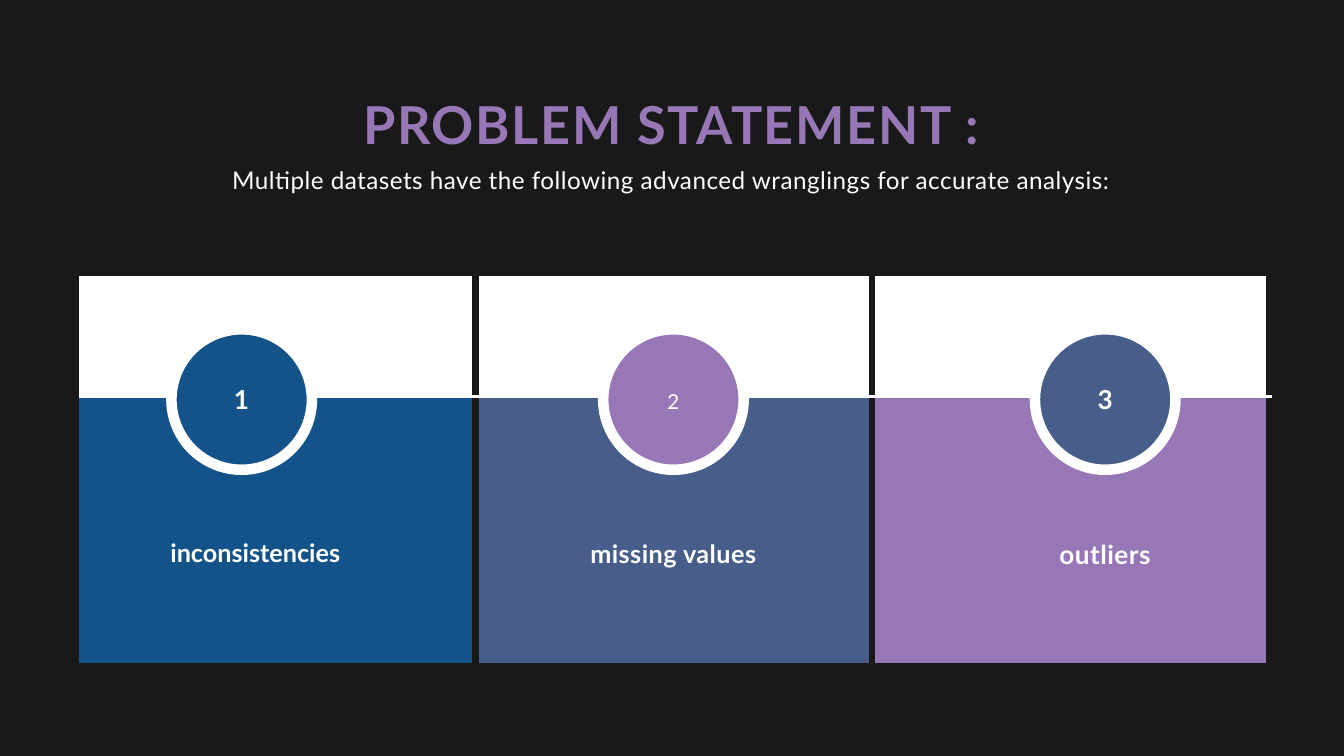
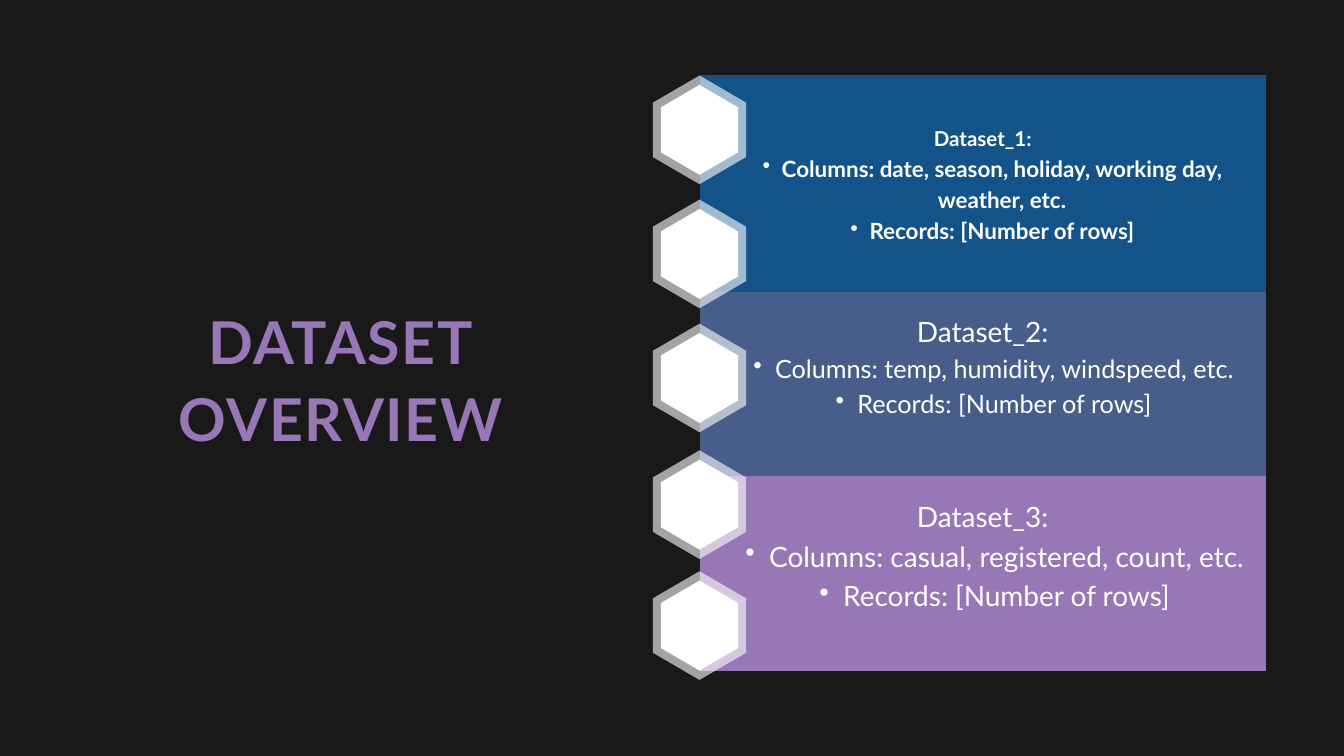
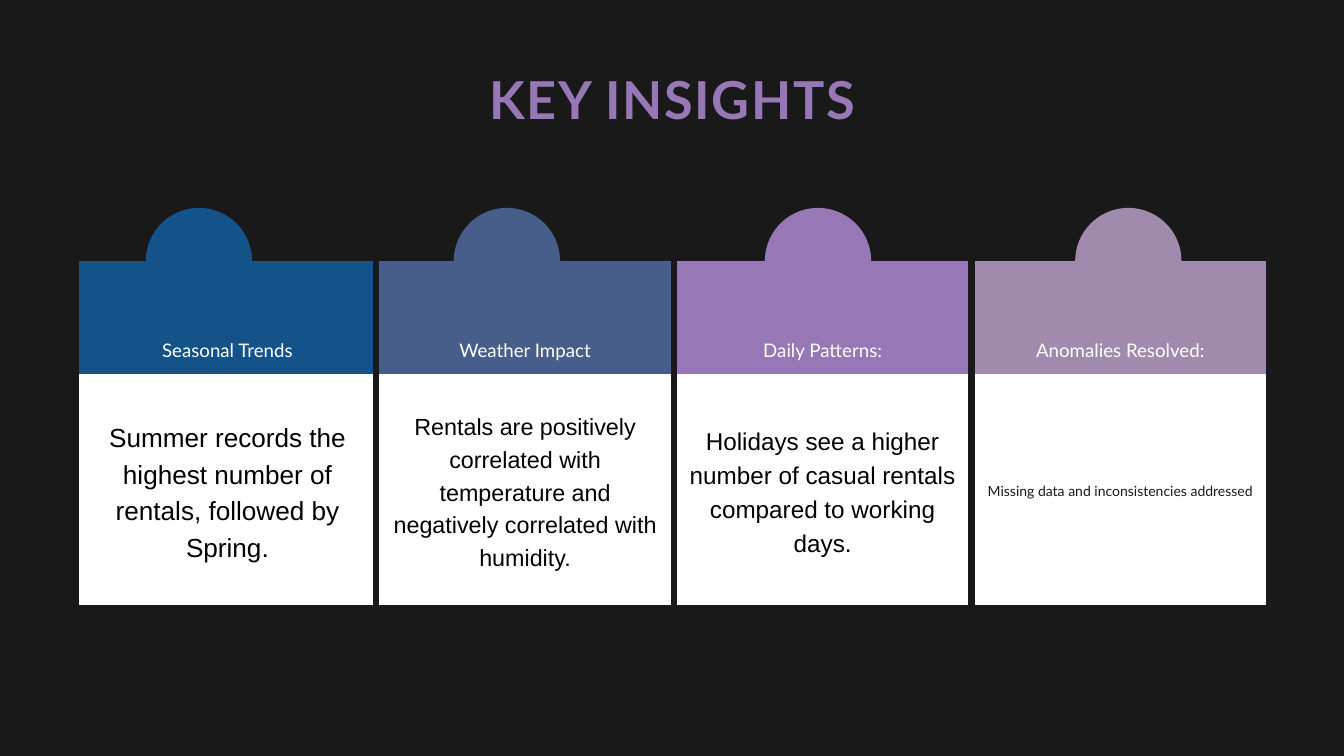
import lxml.etree
import pptx
import pptx.dml.color
import pptx.enum.shapes
import pptx.enum.text
import pptx.oxml.ns
import pptx.util

Cm = pptx.util.Cm
Pt = pptx.util.Pt
RGB = pptx.dml.color.RGBColor
ANCHOR = pptx.enum.text.MSO_ANCHOR
OVAL = pptx.enum.shapes.MSO_SHAPE.OVAL
qn = pptx.oxml.ns.qn

DARK = RGB(0x19, 0x19, 0x19)
WHITE = RGB(0xFF, 0xFF, 0xFF)
BLACK = RGB(0x00, 0x00, 0x00)
BLUE = RGB(0x13, 0x53, 0x8A)
SLATE = RGB(0x46, 0x5E, 0x89)
PURPLE = RGB(0x97, 0x77, 0xB6)
MAUVE = RGB(0xA0, 0x8A, 0xAD)


def write(p, text, size, leading, color=WHITE, bold=False, font="Lato", tracking=0):
    p.text = text
    p.alignment = pptx.enum.text.PP_ALIGN.CENTER
    p.line_spacing = Pt(leading)
    r = p.runs[0]
    r.font.name = font
    r.font.size = Pt(size)
    r.font.bold = bold
    r.font.color.rgb = color
    r._r.get_or_add_rPr().set("spc", str(round(tracking * 100)))


def add_grid(s, left, top, col_width, row_heights, fills, margin, rule=None):
    rows, cols = len(fills), len(fills[0])
    frame = s.shapes.add_table(rows, cols, Cm(left), Cm(top),
                               Cm(col_width * cols), Cm(sum(row_heights)))
    table = frame.table
    table.first_row = table.horz_banding = False
    for column in table.columns:
        column.width = Cm(col_width)
    for i, height in enumerate(row_heights):
        table.rows[i].height = Cm(height)
        for j, fill in enumerate(fills[i]):
            cell = table.cell(i, j)
            borders = {}
            if cols > 1:
                borders["R"] = (DARK, 7.5)
                if j > 0:
                    borders["L"] = (DARK, 7.5)
            if rule:
                borders["B" if i == 0 else "T"] = (rule, 3)
            tcPr = cell._tc.get_or_add_tcPr()
            for side in "LRTB":
                color, width = borders.get(side, (None, 0))
                ln = lxml.etree.SubElement(tcPr, qn("a:ln" + side), w=str(Pt(width)))
                if color:
                    solid = lxml.etree.SubElement(ln, qn("a:solidFill"))
                    lxml.etree.SubElement(solid, qn("a:srgbClr"), val=str(color))
                else:
                    lxml.etree.SubElement(ln, qn("a:noFill"))
            cell.fill.solid()
            cell.fill.fore_color.rgb = fill
            cell.vertical_anchor = ANCHOR.MIDDLE
            cell.margin_left = cell.margin_right = Cm(margin)
            cell.margin_top = cell.margin_bottom = Cm(margin)
    return table


prs = pptx.Presentation()
prs.slide_width = Cm(50.8)
prs.slide_height = Cm(28.58)
background = prs.slide_master.background.fill
background.solid()
background.fore_color.rgb = DARK

titles = [
    ("PROBLEM STATEMENT :", 8.05, 3.28, 34.67, 2.49, 56, 72.8, 1.7),
    ("DATASET OVERVIEW", 1.98, 11.33, 21.79, 5.77, 63.2, 82.2, 1.9),
    ("KEY INSIGHTS", 6.81, 2.36, 37.19, 2.49, 56, 72.8, 1.7),
]
for text, left, top, width, height, size, leading, tracking in titles:
    s = prs.slides.add_slide(prs.slide_layouts[5])
    sp = s.shapes.title
    sp.left, sp.top, sp.width, sp.height = Cm(left), Cm(top), Cm(width), Cm(height)
    tf = sp.text_frame
    tf.margin_left = tf.margin_right = tf.margin_top = tf.margin_bottom = 0
    tf.vertical_anchor = ANCHOR.TOP
    tf.auto_size = pptx.enum.text.MSO_AUTO_SIZE.NONE
    tf.word_wrap = True
    write(tf.paragraphs[0], text, size, leading, PURPLE, True, tracking=tracking)

problem, overview, insights = prs.slides

add_grid(problem, 2.97, 10.44, 15, [4.55, 10.06],
         [[WHITE] * 3, [BLUE, SLATE, PURPLE]], 0.25, rule=WHITE)

columns = [
    ("Seasonal Trends", BLUE,
     "Summer records the highest number of rentals, followed by Spring.",
     28, "Arial", BLACK),
    ("Weather Impact", SLATE,
     "Rentals are positively correlated with temperature and negatively "
     "correlated with humidity.", 25, "Arial", BLACK),
    ("Daily Patterns:", PURPLE,
     "Holidays see a higher number of casual rentals compared to working days.",
     26, "Arial", BLACK),
    ("Anomalies Resolved:", MAUVE,
     "Missing data and inconsistencies addressed", 15, "Lato", DARK),
]
table = add_grid(insights, 2.97, 9.86, 11.25, [4.29, 8.74],
                 [[column[1] for column in columns], [WHITE] * 4], 0.48)
for j, (heading, fill, finding, size, font, color) in enumerate(columns):
    table.cell(0, j).vertical_anchor = ANCHOR.BOTTOM
    write(table.cell(0, j).text_frame.paragraphs[0], heading, 20, 28)
    write(table.cell(1, j).text_frame.paragraphs[0], finding, size, size * 1.4,
          color, font=font)

circle_rows = [
    (problem, 12.45, 5.31, 11.25,
     [(6.48, BLUE), (22.8, PURPLE), (39.12, SLATE)]),
    (insights, 7.86, 4.02, 0,
     [(5.51, BLUE), (17.15, SLATE), (28.91, PURPLE), (40.64, MAUVE)]),
]
for s, top, diameter, outline, circles in circle_rows:
    for left, color in circles:
        sp = s.shapes.add_shape(OVAL, Cm(left), Cm(top), Cm(diameter), Cm(diameter))
        sp.shadow.inherit = False
        sp.fill.solid()
        sp.fill.fore_color.rgb = color
        if outline:
            sp.line.color.rgb = WHITE
            sp.line.width = Pt(outline)
        else:
            sp.line.fill.background()

captions = [
    ("Multiple datasets have the following advanced wranglings for accurate analysis:",
     8.05, 6.05, 34.67, 26, 36.4, False, 0.5),
    ("1", 5.5, 14.5, 7.26, 28, 33.6, True, 2.8),
    ("2", 21.82, 14.48, 7.26, 22, 33, False, 0),
    ("3", 38.14, 14.5, 7.26, 28, 33.6, True, 2.8),
    ("inconsistencies", 6.02, 20.02, 7.26, 27, 40.5, True, 0),
    ("missing values", 21.82, 20.17, 7.26, 27, 37.8, True, 0.5),
    ("outliers", 38.14, 20.14, 7.26, 28, 39.2, True, 0.6),
]
for text, left, top, width, size, leading, bold, tracking in captions:
    sp = problem.shapes.add_textbox(Cm(left), Cm(top), Cm(width), Cm(1.2))
    tf = sp.text_frame
    tf.word_wrap = True
    tf.margin_left = tf.margin_right = tf.margin_top = tf.margin_bottom = 0
    write(tf.paragraphs[0], text, size, leading, bold=bold, tracking=tracking)

datasets = [
    ("Dataset_1:", "Columns: date, season, holiday, working day, weather, etc.",
     22, 24, True, 1.45, 0.53),
    ("Dataset_2:", "Columns: temp, humidity, windspeed, etc.",
     30, 27, False, 1.63, 2.05),
    ("Dataset_3:", "Columns: casual, registered, count, etc.",
     30, 30, False, 1.8, 2.05),
]
table = add_grid(overview, 26.44, 2.84, 21.41, [8.18, 6.99, 7.34],
                 [[BLUE], [SLATE], [PURPLE]], 0.53)
for i, (name, fields, name_size, size, bold, indent, bottom) in enumerate(datasets):
    cell = table.cell(i, 0)
    cell.margin_bottom = Cm(bottom)
    tf = cell.text_frame
    write(tf.paragraphs[0], name, name_size, name_size * 1.4, bold=bold)
    for text in (fields, "Records: [Number of rows]"):
        p = tf.add_paragraph()
        p.level = 1
        write(p, text, size, size * 1.4, bold=bold)
        pPr = p._p.get_or_add_pPr()
        pPr.set("marL", str(Cm(indent)))
        pPr.set("indent", str(-Cm(indent / 2)))
        lxml.etree.SubElement(pPr, qn("a:buChar"), char="•")

center_x = 26.44
for center_y in (4.91, 9.6, 14.29, 19.08, 23.65):
    for width, height, alpha in ((3.53, 4.11, 60), (2.92, 3.4, 100)):
        corners = [(Cm(center_x + x * width / 2), Cm(center_y + y * height / 4))
                   for x, y in ((0, -2), (1, -1), (1, 1), (0, 2), (-1, 1), (-1, -1))]
        builder = overview.shapes.build_freeform(*corners[0])
        builder.add_line_segments(corners[1:], close=True)
        sp = builder.convert_to_shape()
        sp.shadow.inherit = False
        sp.line.fill.background()
        sp.fill.solid()
        sp.fill.fore_color.rgb = WHITE
        if alpha < 100:
            color = sp._element.spPr.find(qn("a:solidFill")).find(qn("a:srgbClr"))
            lxml.etree.SubElement(color, qn("a:alpha"), val=str(alpha * 1000))

prs.save("out.pptx")
